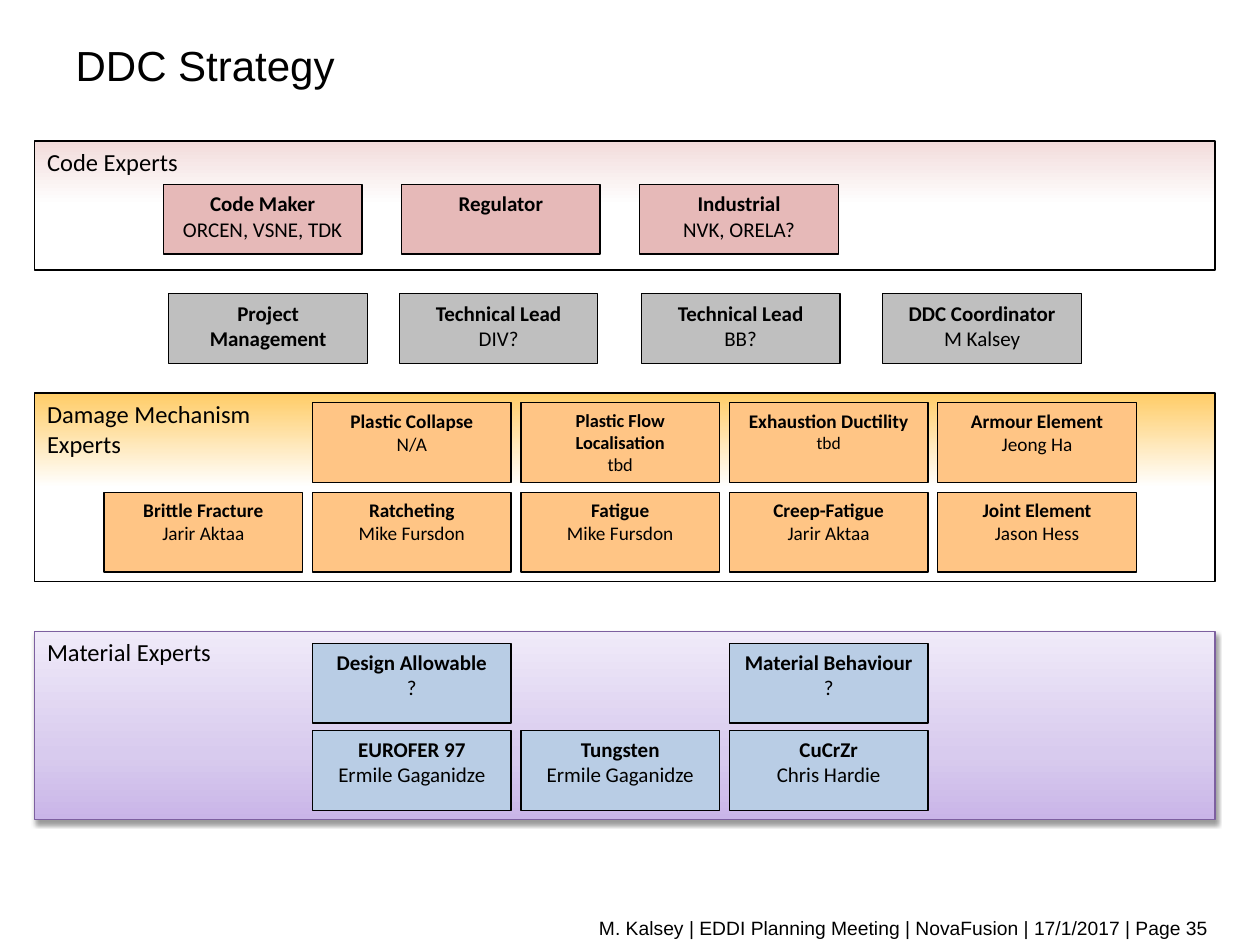
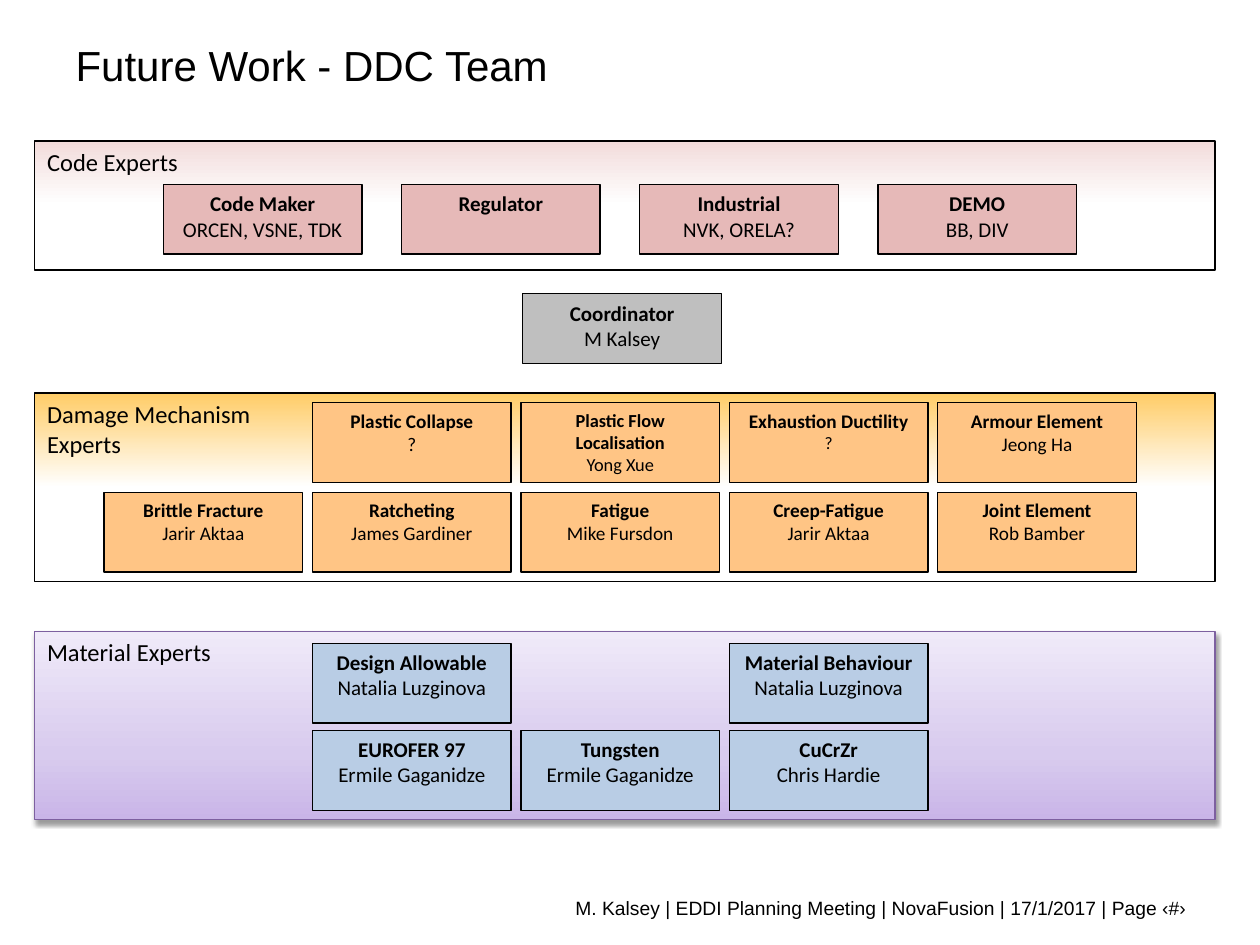
from dataclasses import dataclass

from lxml.etree import SubElement
from pptx import Presentation
from pptx.dml.color import RGBColor
from pptx.enum.shapes import MSO_SHAPE
from pptx.enum.text import MSO_ANCHOR as Anchor, PP_ALIGN as Align
from pptx.oxml.ns import qn
from pptx.util import Pt

# Content: each band has a heading; each slide names who fills the roles.
HEADINGS = {
    "material": ["Material Experts"],
    "damage": ["Damage Mechanism", "Experts"],
    "code": ["Code Experts"],
}
CODE_ROLES = [("Code Maker", "ORCEN, VSNE, TDK"), ("Regulator", None),
              ("Industrial", "NVK, ORELA?")]
# Role and its grid place as (column, row)
DAMAGE_ROLES = {
    "Plastic Collapse": (1, 0),
    "Plastic Flow Localisation": (2, 0),
    "Exhaustion Ductility": (3, 0),
    "Armour Element": (4, 0),
    "Brittle Fracture": (0, 1),
    "Ratcheting": (1, 1),
    "Fatigue": (2, 1),
    "Creep-Fatigue": (3, 1),
    "Joint Element": (4, 1),
}
MATERIAL_ROLES = {
    "Design Allowable": (1, 0),
    "Material Behaviour": (3, 0),
    "EUROFER 97": (1, 1),
    "Tungsten": (2, 1),
    "CuCrZr": (3, 1),
}
SHARED_PEOPLE = {
    "Armour Element": "Jeong Ha",
    "Brittle Fracture": "Jarir Aktaa",
    "Fatigue": "Mike Fursdon",
    "Creep-Fatigue": "Jarir Aktaa",
    "EUROFER 97": "Ermile Gaganidze",
    "Tungsten": "Ermile Gaganidze",
    "CuCrZr": "Chris Hardie",
}
FOOTER = "M. Kalsey | EDDI Planning Meeting | NovaFusion | 17/1/2017 | Page "
SLIDES = [
    {
        "title": "DDC Strategy",
        "code": CODE_ROLES,
        "leads": [(96.5, "Project Management", None),
                  (228.2, "Technical Lead", "DIV?"),
                  (366.5, "Technical Lead", "BB?"),
                  (504.5, "DDC Coordinator", "M Kalsey")],
        "people": {"Plastic Collapse": "N/A",
                   "Plastic Flow Localisation": "tbd",
                   "Exhaustion Ductility": "tbd",
                   "Ratcheting": "Mike Fursdon",
                   "Joint Element": "Jason Hess",
                   "Design Allowable": "?",
                   "Material Behaviour": "?"},
        "page": "35",
        "footer_at": (49, 520),
    },
    {
        "title": "Future Work - DDC Team",
        "code": CODE_ROLES + [("DEMO", "BB, DIV")],
        "leads": [(298.8, "Coordinator", "M Kalsey")],
        "people": {"Plastic Collapse": "?",
                   "Plastic Flow Localisation": "Yong Xue",
                   "Exhaustion Ductility": "?",
                   "Ratcheting": "James Gardiner",
                   "Joint Element": "Rob Bamber",
                   "Design Allowable": "Natalia Luzginova",
                   "Material Behaviour": "Natalia Luzginova"},
        "page": "‹#›",
        "footer_at": (36.7, 508.3),
    },
]


@dataclass(frozen=True)
class Theme:
    heading_font: str = "Arial"
    body_font: str = "Calibri"
    ink: str = "000000"
    code: str = "E6B9B8"
    lead: str = "BFBFBF"
    damage: str = "FFC585"
    material: str = "B9CDE5"
    material_edge: str = "7D60A0"
    title_size: float = 24
    band_size: float = 14
    role_size: float = 12
    damage_size: float = 11
    long_role_size: float = 10.5
    small_size: float = 10
    footer_size: float = 11
    line: float = 0.75


THEME = Theme()
FADE_PINK = [(0, "F2DCDB"), (50, "FFFFFF"), (100, "FFFFFF")]
FADE_AMBER = [(0, "FFCC66"), (50, "FFFFFF"), (100, "FFFFFF")]
FADE_VIOLET = [(0, "C9B5E8"), (35, "D8CBEE"), (100, "F0EAF9")]

# Layout in points
BAND_LEFT, BAND_WIDTH = 19.8, 674.6
BANDS = {  # top, height, gradient stops, angle, edge colour
    "material": (360.7, 107.7, FADE_VIOLET, 270, THEME.material_edge),
    "damage": (224.5, 107.7, FADE_AMBER, 90, THEME.ink),
    "code": (80.6, 73.7, FADE_PINK, 90, THEME.ink),
}
BOX_WIDTH, LOW_BOX, TALL_BOX = 113.5, 39.7, 45.6
CODE_LEFT, CODE_STEP, CODE_TOP = 93.4, 136.1, 105.5
LEAD_TOP = 167.9
GRID_LEFT, GRID_STEP = 59.5, 119.1
DAMAGE_TOPS = (230.2, 281.3)
MATERIAL_TOPS = (367.6, 417.5)
SIZES = {  # role and person sizes that differ from the usual
    "Plastic Flow Localisation": (THEME.long_role_size, THEME.long_role_size),
    "Exhaustion Ductility": (THEME.damage_size, THEME.small_size),
}


def place(shape, left, top, width, height):
    shape.left, shape.top = Pt(left), Pt(top)
    shape.width, shape.height = Pt(width), Pt(height)


def write(frame, lines, font=THEME.body_font, size=THEME.role_size,
          align=Align.LEFT, anchor=Anchor.TOP):
    """Fill a text frame; a line is a text or a (text, size, bold) tuple."""
    frame.word_wrap = True
    frame.vertical_anchor = anchor
    for index, line in enumerate(lines):
        text, line_size, bold = (line, size, False) if isinstance(line, str) else line
        para = frame.add_paragraph() if index else frame.paragraphs[0]
        para.alignment = align
        span = para.add_run()
        span.text = text
        span.font.name = font
        span.font.size = Pt(line_size)
        span.font.bold = bold
        span.font.color.rgb = RGBColor.from_string(THEME.ink)


def add_rect(page, left, top, width, height, edge=THEME.ink):
    box = page.shapes.add_shape(MSO_SHAPE.RECTANGLE, Pt(left), Pt(top),
                                Pt(width), Pt(height))
    box.shadow.inherit = False
    box.line.color.rgb = RGBColor.from_string(edge)
    box.line.width = Pt(THEME.line)
    return box


def add_colour(parent, colour):
    return SubElement(parent, qn("a:srgbClr"), val=colour)


def fade(box, stops, angle):
    """Give the box a linear gradient with any number of stops."""
    box.fill.gradient()
    gradient = box.element.spPr.find(qn("a:gradFill"))
    stop_list = gradient.find(qn("a:gsLst"))
    for stop in list(stop_list):
        stop_list.remove(stop)
    for position, colour in stops:
        add_colour(SubElement(stop_list, qn("a:gs"), pos=str(position * 1000)), colour)
    gradient.find(qn("a:lin")).set("ang", str(angle * 60000))


def drop_shadow(box):
    effects = box.element.spPr.find(qn("a:effectLst"))
    shadow = SubElement(effects, qn("a:outerShdw"), blurRad=str(Pt(3.1)),
                        dist=str(Pt(1.6)), dir="5400000", rotWithShape="0")
    SubElement(add_colour(shadow, THEME.ink), qn("a:alpha"), val="38000")


def add_band(page, name):
    top, height, stops, angle, edge = BANDS[name]
    band = add_rect(page, BAND_LEFT, top, BAND_WIDTH, height, edge)
    fade(band, stops, angle)
    if name == "material":
        drop_shadow(band)
    write(band.text_frame, HEADINGS[name], size=THEME.band_size)


def add_role(page, role, person, left, top, height, colour, size=THEME.role_size):
    box = add_rect(page, left, top, BOX_WIDTH, height)
    box.fill.solid()
    box.fill.fore_color.rgb = RGBColor.from_string(colour)
    role_size, person_size = SIZES.get(role, (size, size))
    lines = [(role, role_size, True)]
    if person:
        lines.append((person, person_size, False))
    write(box.text_frame, lines, align=Align.CENTER)


def add_grid(page, roles, people, tops, colour, size):
    for role, (column, row) in roles.items():
        add_role(page, role, people[role], GRID_LEFT + column * GRID_STEP,
                 tops[row], TALL_BOX, colour, size)


def build_slide(deck, content):
    page = deck.slides.add_slide(deck.slide_layouts[5])
    place(page.shapes.title, 36, 2.2, 584.6, 69.8)
    write(page.shapes.title.text_frame, [content["title"]], font=THEME.heading_font,
          size=THEME.title_size, anchor=Anchor.MIDDLE)

    for name in BANDS:
        add_band(page, name)
    for index, (role, person) in enumerate(content["code"]):
        add_role(page, role, person, CODE_LEFT + index * CODE_STEP, CODE_TOP,
                 LOW_BOX, THEME.code)
    for left, role, person in content["leads"]:
        add_role(page, role, person, left, LEAD_TOP, LOW_BOX, THEME.lead)
    people = SHARED_PEOPLE | content["people"]
    add_grid(page, DAMAGE_ROLES, people, DAMAGE_TOPS, THEME.damage, THEME.damage_size)
    add_grid(page, MATERIAL_ROLES, people, MATERIAL_TOPS, THEME.material, THEME.role_size)

    footer = page.shapes.add_textbox(0, 0, 0, 0)
    place(footer, *content["footer_at"], 648.7, 20.9)
    write(footer.text_frame, [FOOTER + content["page"]], font=THEME.heading_font,
          size=THEME.footer_size, align=Align.RIGHT, anchor=Anchor.MIDDLE)


def main():
    deck = Presentation()
    deck.slide_width, deck.slide_height = Pt(720), Pt(540)
    for content in SLIDES:
        build_slide(deck, content)
    deck.save("out.pptx")


if __name__ == "__main__":
    main()
